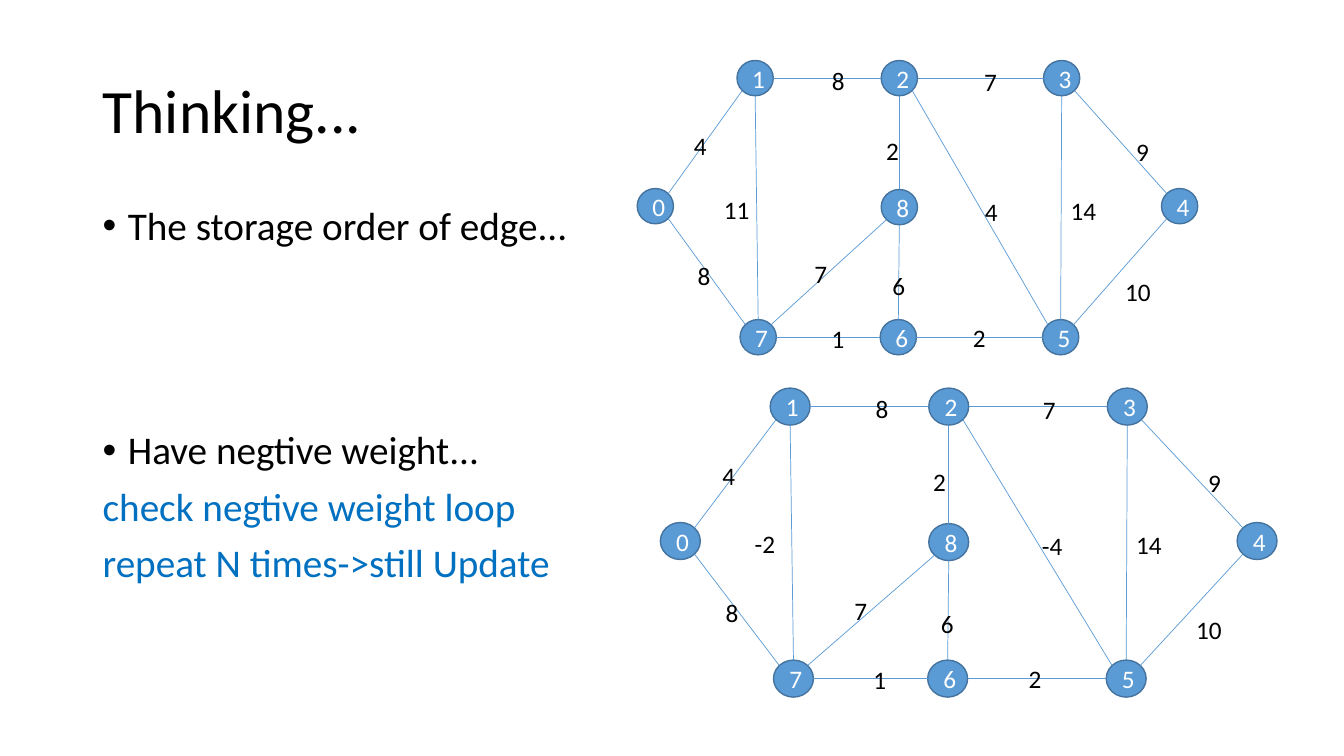
from pptx import Presentation
from pptx.dml.color import RGBColor
from pptx.enum.shapes import MSO_CONNECTOR, MSO_SHAPE
from pptx.enum.text import MSO_ANCHOR, PP_ALIGN
from pptx.oxml.ns import qn
from pptx.util import Inches, Pt
from lxml.etree import SubElement

FONT = "Calibri"
COLORS = {
    "text": "000000",
    "accent": "0070C0",
    "node": "5B9BD5",
    "node_line": "43739E",
    "node_text": "FFFFFF",
}

# Graph geometry, relative to the corner of the upper graph
NODE_SIZE = (0.36, 0.35)
NODES = {
    0: (0, 1.27), 1: (0.99, 0), 2: (2.42, 0), 3: (4.03, 0), 4: (5.2, 1.27),
    5: (4.02, 2.57), 6: (2.41, 2.57), 7: (1.02, 2.57), 8: (2.42, 1.28),
}
# (node, node): weight, label left, label top, label width
EDGES = {
    (0, 1): (4, 0.47, 0.64, 0.19),
    (0, 7): (8, 0.5, 1.93, 0.26),
    (1, 2): (8, 1.85, 0, 0.18),
    (7, 6): (1, 1.83, 2.56, 0.22),
    (1, 7): (11, 0.76, 1.28, 0.61),
    (8, 7): (7, 1.66, 1.91, 0.26),
    (2, 8): (2, 2.37, 0.69, 0.26),
    (8, 6): (6, 2.44, 2.03, 0.19),
    (2, 3): (7, 3.36, 0.01, 0.18),
    (2, 5): (4, 3.35, 1.3, 0.45),
    (6, 5): (2, 3.23, 2.55, 0.22),
    (3, 4): (9, 4.85, 0.7, 0.2),
    (5, 4): (10, 4.74, 2.09, 0.51),
    (3, 5): (14, 4.2, 1.29, 0.62),
}
LABEL_HEIGHT = 0.4
BODY_LINES = [  # text, bulleted, colour, space before
    ("The storage order of edge...", True, "text", 10),
    ("Have negtive weight...", True, "text", 130),
    ("check negtive weight loop", False, "accent", 10),
    ("repeat N times->still Update", False, "accent", 10),
]


def rgb(name):
    return RGBColor.from_string(COLORS[name])


def style(paragraph, size, color):
    for run in paragraph.runs:
        run.font.name = FONT
        run.font.size = Pt(size)
        run.font.color.rgb = rgb(color)


def add_text(shapes, box, text, size):
    label = shapes.add_textbox(*map(Inches, box))
    frame = label.text_frame
    frame.word_wrap = True
    frame.text = text
    for paragraph in frame.paragraphs:
        style(paragraph, size, "text")
    return frame


def add_bullet(paragraph):
    properties = paragraph._p.get_or_add_pPr()
    properties.set("marL", str(Inches(0.25)))
    properties.set("indent", str(Inches(-0.25)))
    SubElement(properties, qn("a:buFont"), typeface="Arial")
    SubElement(properties, qn("a:buChar"), char="•")


def add_body(shapes):
    text = "\n".join(line[0] for line in BODY_LINES)
    frame = add_text(shapes, (0.92, 2, 11.5, 4.76), text, 28)
    for paragraph, (_, bulleted, color, before) in zip(frame.paragraphs, BODY_LINES):
        paragraph.line_spacing = 0.9
        paragraph.space_before = Pt(before)
        style(paragraph, 28, color)
        if bulleted:
            add_bullet(paragraph)


def add_node(shapes, box, number):
    node = shapes.add_shape(MSO_SHAPE.OVAL, *map(Inches, box))
    node.shadow.inherit = False
    node.fill.solid()
    node.fill.fore_color.rgb = rgb("node")
    node.line.color.rgb = rgb("node_line")
    node.line.width = Pt(1)
    frame = node.text_frame
    frame.vertical_anchor = MSO_ANCHOR.MIDDLE
    frame.text = str(number)
    frame.paragraphs[0].alignment = PP_ALIGN.CENTER
    style(frame.paragraphs[0], 18, "node_text")


def add_edge(shapes, start, end):
    edge = shapes.add_connector(MSO_CONNECTOR.STRAIGHT, *map(Inches, start + end))
    edge.line.color.rgb = rgb("node")
    edge.line.width = Pt(0.5)
    SubElement(edge._element.spPr, qn("a:effectLst"))


def direction(distance):
    """Sign of a distance; nearly aligned nodes count as aligned."""
    if abs(distance) < 0.1:
        return 0
    return 1 if distance > 0 else -1


def rim_point(box, other):
    """Point on the node's rim, in one of eight directions, facing another node."""
    left, top, width, height = box
    dx, dy = direction(other[0] - left), direction(other[1] - top)
    reach = 0.71 if dx and dy else 1
    return (left + width / 2 * (1 + reach * dx), top + height / 2 * (1 + reach * dy))


def add_graph(slide, left, top, scale_x, scale_y, changed_weights):
    shapes = slide.shapes.add_group_shape().shapes
    width, height = NODE_SIZE[0] * scale_x, NODE_SIZE[1] * scale_y

    def place(x, y):
        return left + x * scale_x, top + y * scale_y

    boxes = {number: place(*spot) + (width, height) for number, spot in NODES.items()}
    for number, box in boxes.items():
        add_node(shapes, box, number)
    for a, b in EDGES:
        add_edge(shapes, rim_point(boxes[a], boxes[b]), rim_point(boxes[b], boxes[a]))
    for ends, (weight, x, y, label_width) in EDGES.items():
        label_box = place(x, y) + (label_width * scale_x, LABEL_HEIGHT)
        add_text(shapes, label_box, str(changed_weights.get(ends, weight)), 18)


def main():
    prs = Presentation()
    prs.slide_width, prs.slide_height = Inches(13.33), Inches(7.5)
    slide = prs.slides.add_slide(prs.slide_layouts[6])

    # Title and notes on the left
    title = add_text(slide.shapes, (0.92, 0.4, 11.5, 1.45), "Thinking...", 44)
    title.vertical_anchor = MSO_ANCHOR.MIDDLE
    title.paragraphs[0].line_spacing = 0.9
    add_body(slide.shapes)

    # Lower graph has negative weights, upper graph only positive ones
    add_graph(slide, 6.55, 3.85, 1.1, 1.05, {(1, 7): -2, (2, 5): -4})
    add_graph(slide, 6.32, 0.6, 1, 1, {})

    prs.save("out.pptx")


if __name__ == "__main__":
    main()
